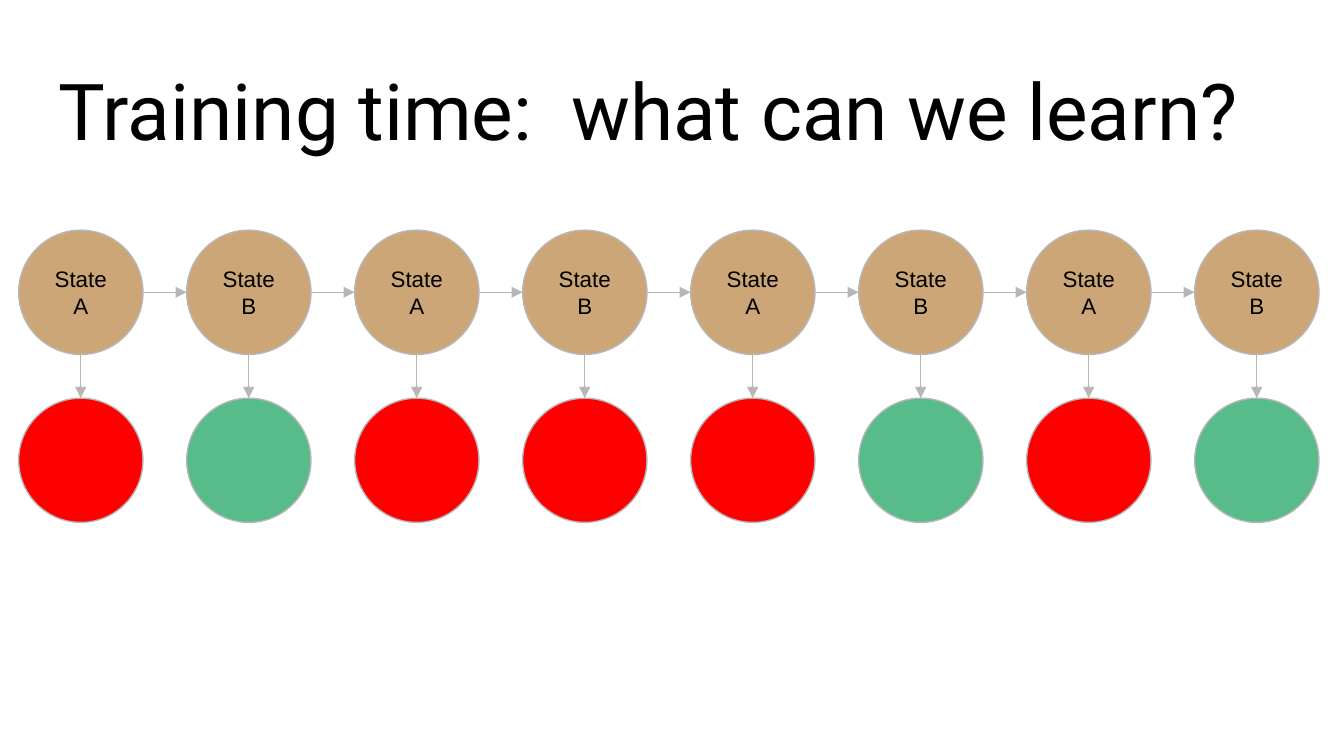
from typing import NamedTuple

from lxml.etree import SubElement
from pptx import Presentation
from pptx.dml.color import RGBColor
from pptx.enum.shapes import MSO_CONNECTOR, MSO_SHAPE
from pptx.enum.text import MSO_ANCHOR, PP_ALIGN
from pptx.oxml.ns import qn
from pptx.slide import Slide
from pptx.text.text import TextFrame
from pptx.util import Pt

COLORS = {
    "state": "CCA677",
    "red": "FF0000",
    "green": "57BB8A",
    "line": "B7B7B7",
    "text": "000000",
}
DIAMETER = 66.6
STEP = 90
LEFT = 10
STATE_TOP = 123.3
OBSERVATION_TOP = STATE_TOP + STEP
LINE_WIDTH = 0.75
INSET = 7.2


class TimeStep(NamedTuple):
    state: str
    observation: str


TIME_STEPS = [
    TimeStep("A", "red"),
    TimeStep("B", "green"),
    TimeStep("A", "red"),
    TimeStep("B", "red"),
    TimeStep("A", "red"),
    TimeStep("B", "green"),
    TimeStep("A", "red"),
    TimeStep("B", "green"),
]


def rgb(name: str) -> RGBColor:
    return RGBColor.from_string(COLORS[name])


def write_text(frame: TextFrame, text: str, font: str, size: float,
               anchor: MSO_ANCHOR, alignment: PP_ALIGN) -> None:
    frame.word_wrap = True
    frame.vertical_anchor = anchor
    frame.margin_left = frame.margin_right = Pt(INSET)
    frame.margin_top = frame.margin_bottom = Pt(INSET)
    paragraph = frame.paragraphs[0]
    paragraph.alignment = alignment
    run = paragraph.add_run()
    run.text = text
    run.font.name = font
    run.font.size = Pt(size)
    run.font.color.rgb = rgb("text")


def add_circle(slide: Slide, left: float, top: float, fill: str, label: str = "") -> None:
    shape = slide.shapes.add_shape(
        MSO_SHAPE.OVAL, Pt(left), Pt(top), Pt(DIAMETER), Pt(DIAMETER))
    shape.shadow.inherit = False
    shape.fill.solid()
    shape.fill.fore_color.rgb = rgb(fill)
    shape.line.color.rgb = rgb("line")
    shape.line.width = Pt(LINE_WIDTH)
    if label:
        write_text(shape.text_frame, label, "Arial", 12, MSO_ANCHOR.MIDDLE, PP_ALIGN.CENTER)


def add_arrow(slide: Slide, start: tuple[float, float], end: tuple[float, float]) -> None:
    connector = slide.shapes.add_connector(
        MSO_CONNECTOR.STRAIGHT, Pt(start[0]), Pt(start[1]), Pt(end[0]), Pt(end[1]))
    connector.line.color.rgb = rgb("line")
    connector.line.width = Pt(LINE_WIDTH)
    SubElement(connector.line._get_or_add_ln(), qn("a:tailEnd"), type="triangle")
    SubElement(connector._element.spPr, qn("a:effectLst"))


def add_time_step(slide: Slide, index: int, time_step: TimeStep) -> None:
    """Draw a state, its observation and the arrows that lead from the state."""
    left = LEFT + index * STEP
    right = left + DIAMETER
    center = left + DIAMETER / 2
    middle = STATE_TOP + DIAMETER / 2
    add_circle(slide, left, STATE_TOP, "state", f"State {time_step.state}")
    add_circle(slide, left, OBSERVATION_TOP, time_step.observation)
    add_arrow(slide, (center, STATE_TOP + DIAMETER), (center, OBSERVATION_TOP))
    if index < len(TIME_STEPS) - 1:
        add_arrow(slide, (right, middle), (left + STEP, middle))


def main() -> None:
    presentation = Presentation()
    presentation.slide_width = Pt(720)
    presentation.slide_height = Pt(405)
    slide = presentation.slides.add_slide(presentation.slide_layouts[6])

    title = slide.shapes.add_textbox(Pt(24.5), Pt(25.2), Pt(671), Pt(65.5))
    write_text(title.text_frame, "Training time:  what can we learn?", "Roboto", 42,
               MSO_ANCHOR.BOTTOM, PP_ALIGN.LEFT)
    for index, time_step in enumerate(TIME_STEPS):
        add_time_step(slide, index, time_step)

    presentation.save("out.pptx")


if __name__ == "__main__":
    main()
